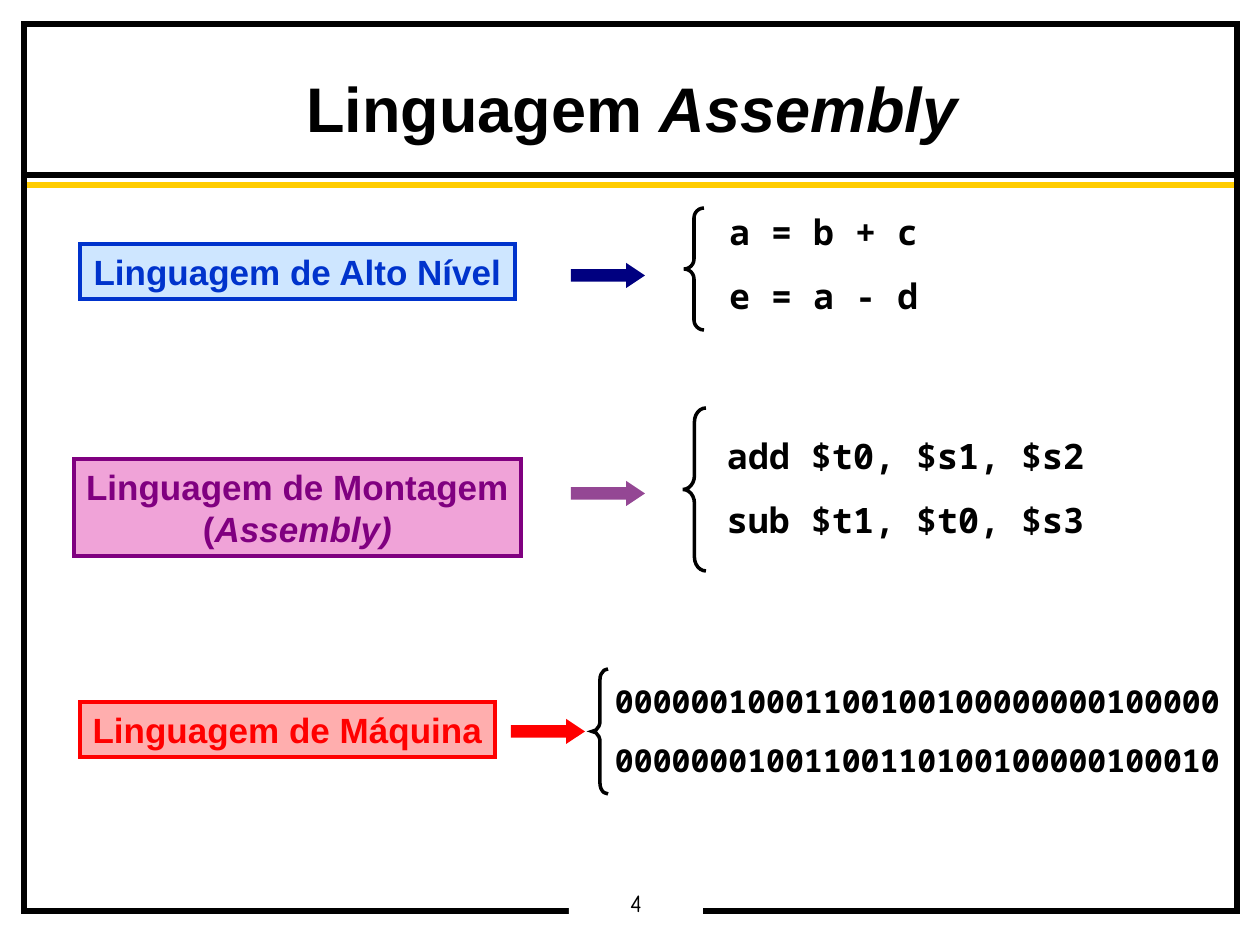
import pptx
import pptx.util
import pptx.dml.color
import pptx.enum.shapes
import pptx.enum.text
import pptx.oxml.ns

SHAPES = pptx.enum.shapes.MSO_SHAPE
ALIGN = pptx.enum.text.PP_ALIGN
EMU_PER_PX = 914400 / 126

# Content: paragraphs are lists of (text, italic) runs; None is a line break
TITLE = [[("Linguagem ", False), ("Assembly", True)]]
PAGE_NUMBER = [[("4", False)]]
RULES = [(175, "000000"), (185, "FFCC00")]
LEVELS = [
    {
        "label": [[("Linguagem de Alto Nível", False)]],
        "label_at": (80, 244, 435, 55),
        "color": "0033CC", "fill": "99CCFF", "opacity": 48,
        "arrow_at": (571, 263, 74, 25), "arrow_color": "000080",
        "brace_at": (684, 208, 20, 122), "brace_curve": 0.5,
        "code": ["a = b + c", "e = a - d"],
        "code_at": (716, 204, 236, 119), "code_size": 20,
    },
    {
        "label": [[("Linguagem de Montagem", False), None,
                   ("(", False), ("Assembly)", True)]],
        "label_at": (74, 459, 447, 97),
        "color": "800080", "fill": "D60093", "opacity": 36,
        "arrow_at": (571, 481, 74, 25), "arrow_color": "944794",
        "brace_at": (683, 408, 23, 163), "brace_curve": 0.6,
        "code": ["add $t0, $s1, $s2", "sub $t1, $t0, $s3"],
        "code_at": (714, 428, 404, 119), "code_size": 20,
    },
    {
        "label": [[("Linguagem de Máquina", False)]],
        "label_at": (80, 702, 415, 55),
        "color": "FF0000", "fill": "FF5050", "opacity": 46,
        "arrow_at": (511, 719, 74, 25), "arrow_color": "FF0000",
        "brace_at": (592, 669, 16, 125), "brace_curve": 0.65,
        "code": ["00000010001100100100100000000100000"[:0] or "00000010001100100100000000100000",
                 "00000001001100110100100000100010"],
        "code_at": (602, 675, 631, 111), "code_size": 18,
    },
]
LEVELS[2]["code"] = ["00000010001100100100000000100000", "00000001001100110100100000100010"]


def px(value):
    return pptx.util.Emu(round(value * EMU_PER_PX))


def rgb(color):
    return pptx.dml.color.RGBColor.from_string(color)


def append_xml(parent, tag, **attributes):
    parent.append(parent.makeelement(pptx.oxml.ns.qn(tag), attributes))


def add_shape(kind, at, fill=None, line=None, width=2, opacity=100, adjustments=()):
    shape = slide.shapes.add_shape(kind, *map(px, at))
    properties = shape._element.spPr
    shape.shadow.inherit = False
    for index, value in enumerate(adjustments):
        shape.adjustments[index] = value
    if fill:
        shape.fill.solid()
        shape.fill.fore_color.rgb = rgb(fill)
        if opacity < 100:
            color = properties.find(".//" + pptx.oxml.ns.qn("a:srgbClr"))
            append_xml(color, "a:alpha", val=str(opacity * 1000))
    else:
        shape.fill.background()
    if line:
        shape.line.color.rgb = rgb(line)
        shape.line.width = pptx.util.Pt(width)
        append_xml(properties.find(pptx.oxml.ns.qn("a:ln")), "a:miter", lim="800000")
    else:
        shape.line.fill.background()
    return shape


def write(shape, paragraphs, color="000000", align=ALIGN.CENTER, spacing=1.0, wrap=False,
          margins=(13, 6), **font):
    frame = shape.text_frame
    across, down = map(px, margins)
    layout = {"word_wrap": wrap, "vertical_anchor": pptx.enum.text.MSO_ANCHOR.MIDDLE,
              "margin_left": across, "margin_right": across,
              "margin_top": down, "margin_bottom": down}
    for name, value in layout.items():
        setattr(frame, name, value)
    for index, runs in enumerate(paragraphs):
        para = frame.add_paragraph() if index else frame.paragraphs[0]
        para.alignment = align
        para.line_spacing = spacing
        if index:
            para.space_before = pptx.util.Pt(12.5)
        for run in runs:
            if run is None:
                para.add_line_break()
                continue
            span = para.add_run()
            span.text, italic = run
            for name, value in {**font, "italic": italic}.items():
                setattr(span.font, name, value)
            span.font.color.rgb = rgb(color)


def add_text(at, paragraphs, **style):
    write(slide.shapes.add_textbox(*map(px, at)), paragraphs, **style)


deck = pptx.Presentation()
deck.slide_width, deck.slide_height = px(1260), px(945)
slide = deck.slides.add_slide(deck.slide_layouts[6])

# Header rules
for y, color in RULES:
    rule = slide.shapes.add_connector(
        pptx.enum.shapes.MSO_CONNECTOR.STRAIGHT, px(25), px(y), px(1240), px(y))
    rule.line.color.rgb = rgb(color)
    rule.line.width = pptx.util.Pt(3)
    append_xml(rule._element.spPr, "a:effectLst")

# Page frame, page number and title
add_shape(SHAPES.RECTANGLE, (24, 24, 1213, 887), line="000000", width=3)
page = add_shape(SHAPES.RECTANGLE, (569, 888, 134, 34), fill="FFFFFF")
write(page, PAGE_NUMBER, spacing=0.9, margins=(9, 4), name="Comic Neue", size=pptx.util.Pt(14))
add_text((24, 71, 1216, 79), TITLE, spacing=0.95, wrap=True, margins=(9, 4),
         name="Arial", size=pptx.util.Pt(36), bold=True)

# One row per language level: label, arrow, brace, code
for level in LEVELS:
    label = add_shape(SHAPES.RECTANGLE, level["label_at"], fill=level["fill"],
                      line=level["color"], opacity=level["opacity"])
    write(label, level["label"], color=level["color"],
          name="Arial", size=pptx.util.Pt(20), bold=True)
    add_shape(SHAPES.RIGHT_ARROW, level["arrow_at"], fill=level["arrow_color"],
              adjustments=(0.5, 0.75))
    add_shape(SHAPES.LEFT_BRACE, level["brace_at"], line="000000",
              adjustments=(level["brace_curve"], 0.5))
    add_text(level["code_at"], [[(line, False)] for line in level["code"]], align=ALIGN.LEFT,
             name="Noto Sans Mono", size=pptx.util.Pt(level["code_size"]), bold=True)

deck.save("out.pptx")
